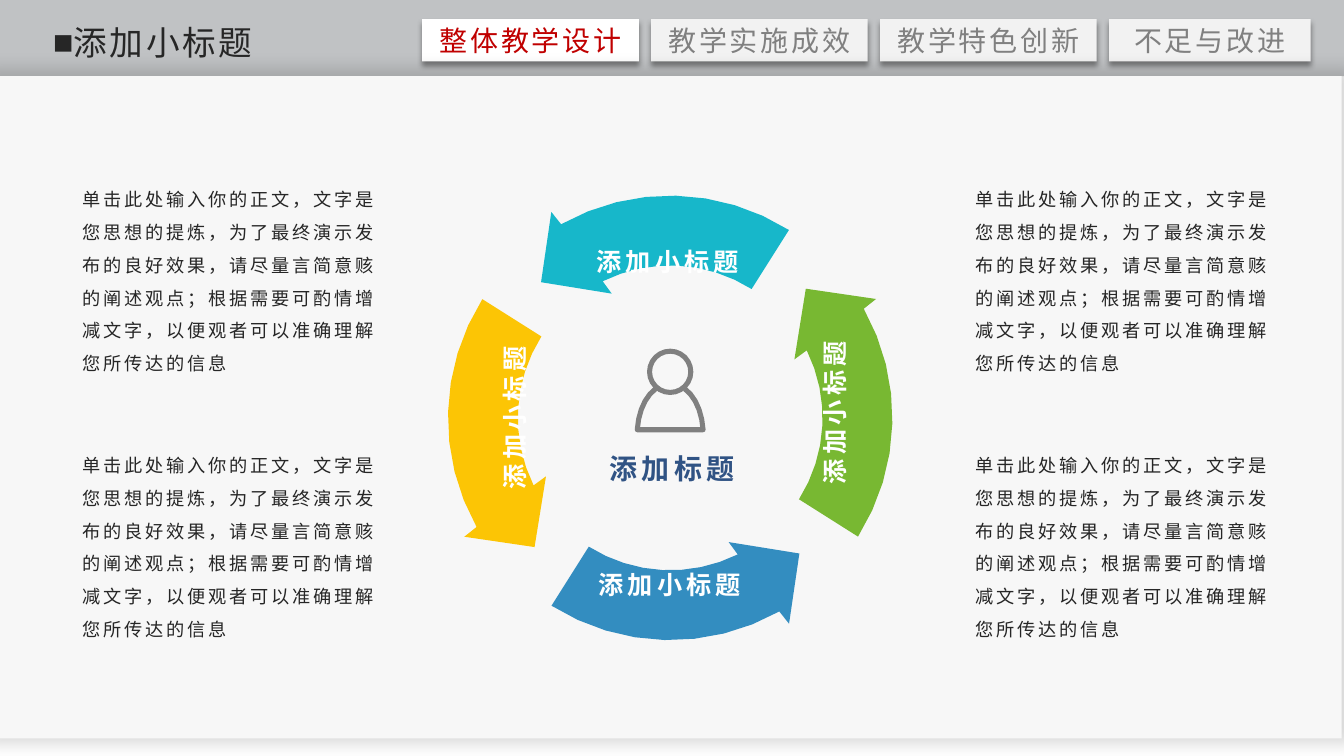
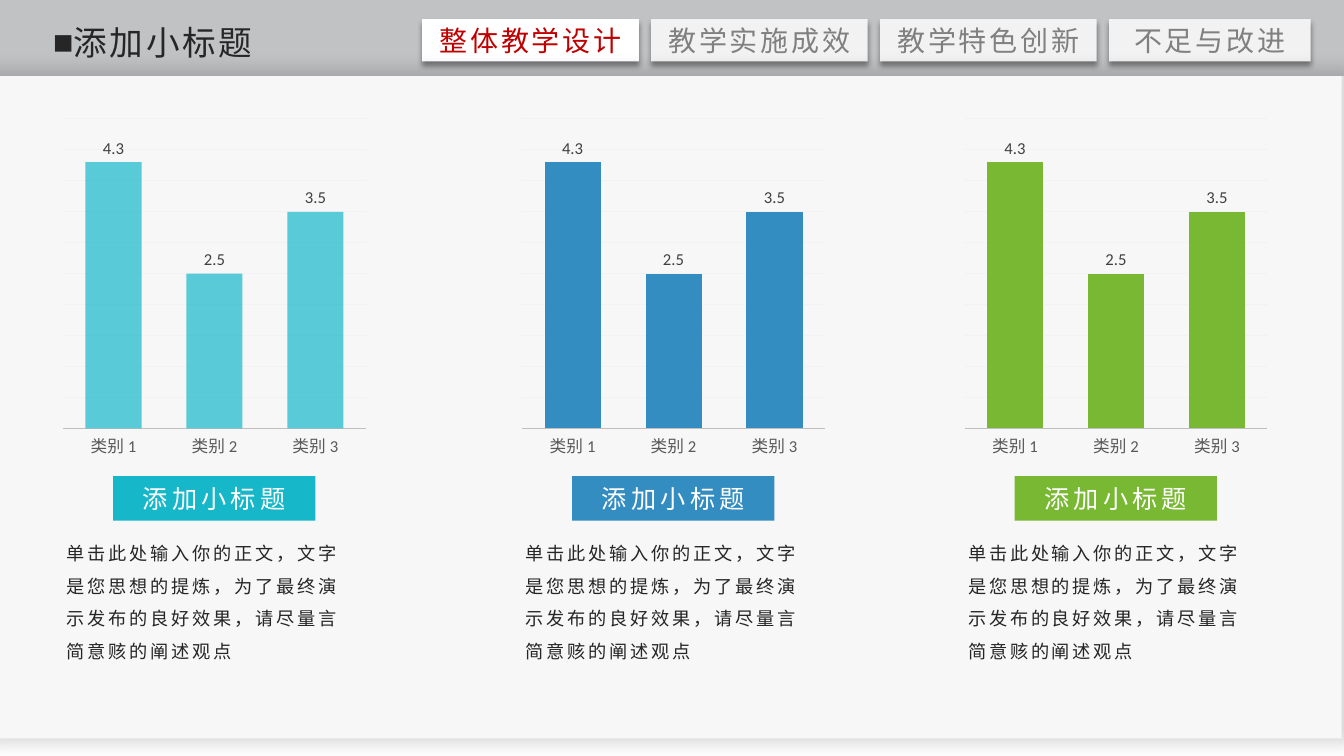
from math import cos, radians, sin

from lxml import etree
from pptx import Presentation
from pptx.chart.data import CategoryChartData
from pptx.dml.color import RGBColor
from pptx.enum.chart import XL_CHART_TYPE, XL_LABEL_POSITION, XL_TICK_LABEL_POSITION, XL_TICK_MARK
from pptx.enum.shapes import MSO_SHAPE
from pptx.enum.text import MSO_ANCHOR, MSO_AUTO_SIZE, PP_ALIGN
from pptx.oxml.ns import qn
from pptx.util import Cm, Pt

RECT, OVAL = MSO_SHAPE.RECTANGLE, MSO_SHAPE.OVAL
MID, CENTER = MSO_ANCHOR.MIDDLE, PP_ALIGN.CENTER
GROW = MSO_AUTO_SIZE.SHAPE_TO_FIT_TEXT
COLUMN = XL_CHART_TYPE.COLUMN_CLUSTERED
OUTER = XL_LABEL_POSITION.OUTSIDE_END
NOTICK, NEXT = XL_TICK_MARK.NONE, XL_TICK_LABEL_POSITION.NEXT_TO_AXIS


class Theme:
    font, latin = "Noto Sans CJK SC", "Calibri"
    band, panel, tab, white = "C0C2C4", "F7F7F7", "F2F2F2", "FFFFFF"
    ink, gray, red, navy, black = "262626", "808080", "C00000", "305384", "000000"
    teal, gold, blue, green = "17B7CA", "FCC505", "338DC0", "78B832"
    axis, grid, tick, value = "BFBFBF", "F2F2F2", "595959", "404040"
    # Text styles: size, colour, bold, letter spacing in points
    title = (24, ink, False, 2)
    on = (20, red, False, 2)
    off = (20, gray, False, 2)
    core = (20, navy, True, 3)
    arrow = (18, white, True, 3)
    tag = (18, white, False, 3)
    body = (13, ink, False, 2)
    chart, label = 10, 11.9


# Content
TITLE = "添加小标题"
CORE = "添加标题"
TABS = [("整体教学设计", 5.46), ("教学实施成效", 5.46),
        ("教学特色创新", 5.46), ("不足与改进", 5.08)]
SHORT = "单击此处输入你的正文，文字是您思想的提炼，为了最终演示发布的良好效果，请尽量言简意赅的阐述观点"
LONG = SHORT + "；根据需要可酌情增减文字，以便观者可以准确理解您所传达的信息"
# Arrow colour, turn in degrees, label centre, label rotation
ARROWS = [(Theme.teal, 0, (16.83, 6.59), 0),
          (Theme.gold, -90, (12.97, 10.53), 270),
          (Theme.blue, 180, (16.88, 14.72), 0),
          (Theme.green, 90, (21.04, 10.4), 270)]
CATS = ["类别 1", "类别 2", "类别 3"]
VALS = [4.3, 2.5, 3.5]
# Left edge, colour, opacity in percent
CHARTS = [(1.43, Theme.teal, 70), (13, Theme.blue, 100), (24.15, Theme.green, 100)]

# Ring geometry in cm, angles clockwise from the top
HUB = (16.89, 10.53)
RIM, BORE, TAIL = 5.6, 3.84, 32.3
HEAD = [(5.99, -30), (4.72, -43.6), (3.46, -25.2)]


def put(obj, **fmt):
    for key, val in fmt.items():
        setattr(obj, key, val)


def rgb(code):
    return RGBColor.from_string(code)


def sub(node, tag, **atts):
    return etree.SubElement(node, qn(tag), {k: str(v) for k, v in atts.items()})


def paint(shape, color):
    shape.shadow.inherit = False
    shape.fill.solid()
    shape.fill.fore_color.rgb = rgb(color)
    shape.line.fill.background()


def shade(shape, alpha, blur, dist, turn, scale=100):
    fx = shape._element.spPr.find(qn("a:effectLst"))
    cast = sub(fx, "a:outerShdw", blurRad=Pt(blur), dist=Pt(dist),
               dir=turn * 60000, sx=scale * 1000, sy=scale * 1000,
               algn="ctr", rotWithShape=0)
    tone = sub(cast, "a:srgbClr", val=Theme.black)
    sub(tone, "a:alpha", val=alpha * 1000)


def write(shape, text, style, para=None, **frame):
    size, color, bold, gap = style
    put(shape.text_frame, **frame)
    line = shape.text_frame.paragraphs[0]
    put(line, **(para or {}))
    run = line.add_run()
    run.text = text
    put(run.font, size=Pt(size), bold=bold, name=Theme.font)
    run.font.color.rgb = rgb(color)
    props = run._r.get_or_add_rPr()
    props.set("spc", str(gap * 100))
    sub(props, "a:ea", typeface=Theme.font)


def block(slide, color, *box):
    shape = slide.shapes.add_shape(RECT, *map(Cm, box))
    paint(shape, color)
    return shape


def label(slide, box, text, style, para=None, **frame):
    shape = slide.shapes.add_textbox(*map(Cm, box))
    write(shape, text, style, para, **frame)
    return shape


def prose(slide, box, text):
    label(slide, box, text, Theme.body, {"line_spacing": 1.5},
          word_wrap=True, auto_size=GROW)


def trace(slide, dots, close=True):
    dots = [(Cm(x), Cm(y)) for x, y in dots]
    pen = slide.shapes.build_freeform(*dots[0], scale=1.0)
    pen.add_line_segments(dots[1:], close=close)
    return pen.convert_to_shape()


# Band, tabs, panel and title on every slide
def start(prs):
    slide = prs.slides.add_slide(prs.slide_layouts[6])
    block(slide, Theme.band, 0, 0, 33.87, 1.92)
    for i, (text, wide) in enumerate(TABS):
        tab = block(slide, Theme.tab if i else Theme.white,
                    10.64 + 5.77 * i, 0.48, wide, 1.07)
        shade(tab, 40, 4, 3, 90)
        write(tab, text, Theme.off if i else Theme.on, {"alignment": CENTER},
              vertical_anchor=MID, margin_top=0, margin_bottom=0)
    panel = block(slide, Theme.panel, 0, 1.92, 33.81, 16.69)
    shade(panel, 15, 12, 0, 0, scale=102)
    head = slide.shapes.add_textbox(*map(Cm, (1.09, 0.43, 6.53, 1.27)))
    props = head.text_frame.paragraphs[0]._p.get_or_add_pPr()
    for key, val in {"marL": 0, "indent": Cm(-0.81)}.items():
        props.set(key, str(val))
    sub(props, "a:buSzPct", val=64000)
    sub(props, "a:buFont", typeface=Theme.latin)
    sub(props, "a:buChar", char="■")
    write(head, TITLE, Theme.title, word_wrap=True, auto_size=GROW)
    return slide


# Ring of arrows
def polar(rad, deg):
    turn = radians(deg)
    return HUB[0] + rad * sin(turn), HUB[1] - rad * cos(turn)


def arc(rad, first, last, steps=8):
    return [(rad, first + (last - first) * i / steps) for i in range(steps + 1)]


def ring(slide):
    edge = arc(RIM, TAIL, -29.4) + HEAD + arc(BORE, -26.3, TAIL)
    for color, turn, (x, y), spin in ARROWS:
        paint(trace(slide, [polar(r, a + turn) for r, a in edge]), color)
        text = label(slide, (x - 2.3, y - 0.62, 4.6, 1.24), TITLE, Theme.arrow,
                     {"alignment": CENTER}, word_wrap=False, vertical_anchor=MID)
        text.rotation = spin


# Person in the hub
def bezier(a, b, c, d, steps=5):
    for i in range(steps + 1):
        t = i / steps
        u = 1 - t
        yield tuple(u**3 * p + 3 * u * u * t * q + 3 * u * t * t * r + t**3 * s
                    for p, q, r, s in zip(a, b, c, d))


def person(slide):
    mid = HUB[0]
    side = list(bezier((0.37, 9.8), (0.62, 9.98), (0.8, 10.37), (0.83, 10.83)))
    body = [(mid - x, y) for x, y in side] + [(mid + x, y) for x, y in side[::-1]]
    head = slide.shapes.add_shape(OVAL, *map(Cm, (mid - 0.52, 8.85, 1.04, 1.04)))
    for shape in (head, trace(slide, body, close=False)):
        shape.shadow.inherit = False
        shape.fill.background()
        shape.line.color.rgb = rgb(Theme.gray)
        shape.line.width = Pt(3.6)


def cycle(prs):
    slide = start(prs)
    person(slide)
    label(slide, (14.07, 11.25, 5.74, 1.09), CORE, Theme.core,
          {"alignment": CENTER}, word_wrap=False)
    ring(slide)
    for top in (4.35, 11.05):
        for left in (1.84, 24.34):
            prose(slide, (left, top, 8.23, 5.26), LONG)


# Column charts
def style(font, size, color):
    put(font, size=Pt(size), name=Theme.latin)
    font.color.rgb = rgb(color)


def columns(slide, left, color, alpha):
    data = CategoryChartData()
    data.categories = CATS
    data.add_series("Series 1", VALS)
    box = map(Cm, (left, 2.82, 7.95, 8.89))
    chart = slide.shapes.add_chart(COLUMN, *box, data).chart
    put(chart, has_title=False, has_legend=False)
    style(chart.font, Theme.chart, Theme.black)

    cat, val = chart.category_axis, chart.value_axis
    put(cat, major_tick_mark=NOTICK, minor_tick_mark=NOTICK, tick_label_position=NEXT)
    style(cat.tick_labels.font, Theme.label, Theme.tick)
    put(val, visible=False, minimum_scale=0, maximum_scale=5, major_unit=0.5,
        major_tick_mark=NOTICK, minor_tick_mark=NOTICK, has_major_gridlines=True)
    lines = [(cat.format.line, Theme.axis, 1.25),
             (val.major_gridlines.format.line, Theme.grid, 0.75)]
    for line, tone, width in lines:
        line.color.rgb = rgb(tone)
        line.width = Pt(width)

    plot = chart.plots[0]
    put(plot, gap_width=80, overlap=25, vary_by_categories=False, has_data_labels=True)
    put(plot.data_labels, show_value=True, position=OUTER)
    style(plot.data_labels.font, Theme.label, Theme.value)
    fill = plot.series[0].format.fill
    fill.solid()
    fill.fore_color.rgb = rgb(color)
    if alpha < 100:
        tone = next(plot.series[0]._element.iter(qn("a:srgbClr")))
        sub(tone, "a:alpha", val=alpha * 1000)


def compare(prs):
    slide = start(prs)
    for left, color, alpha in CHARTS:
        columns(slide, left, color, alpha)
        tag = block(slide, color, left + 1.42, 12, 5.1, 1.12)
        write(tag, TITLE, Theme.tag, {"alignment": CENTER}, vertical_anchor=MID)
        prose(slide, (left, 13.26, 7.87, 3.58), SHORT)


def main():
    prs = Presentation()
    put(prs, slide_width=Cm(33.87), slide_height=Cm(19.05))
    cycle(prs)
    compare(prs)
    prs.save("out.pptx")


if __name__ == "__main__":
    main()
